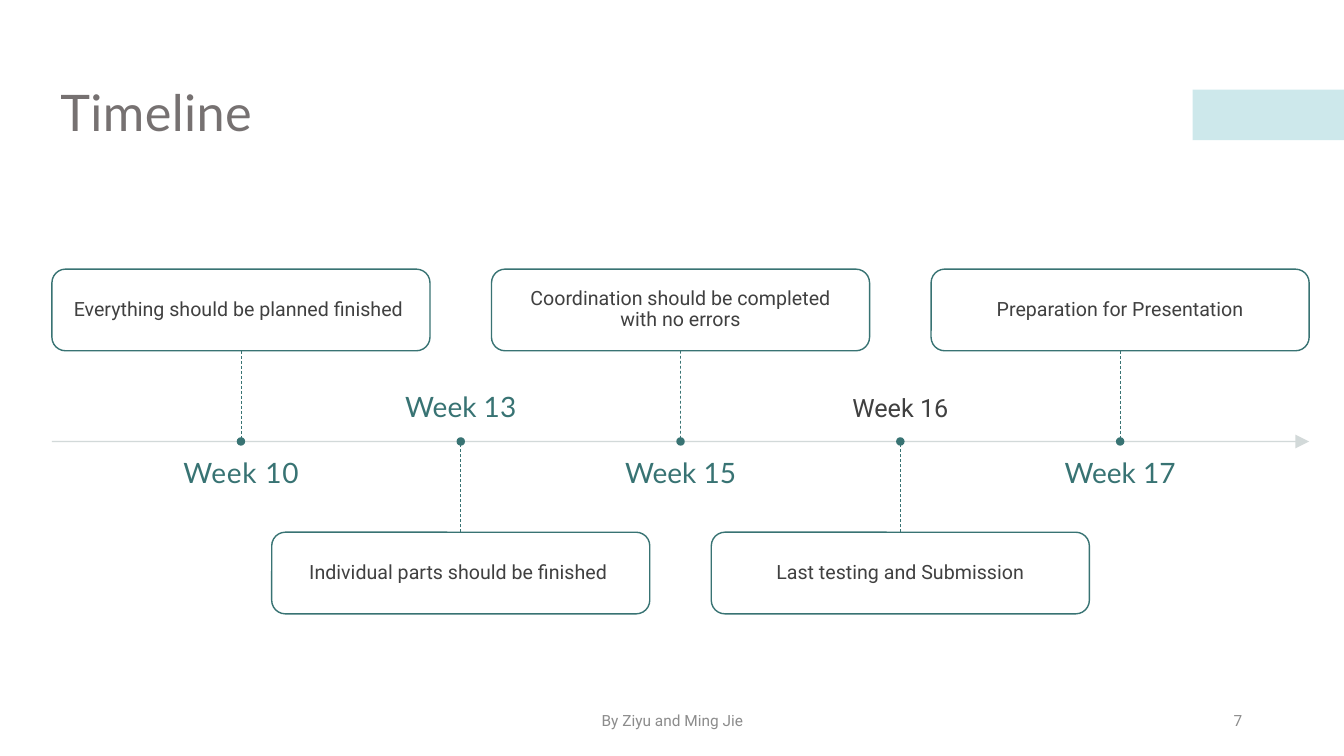
from dataclasses import dataclass

from lxml.etree import SubElement
from pptx import Presentation
from pptx.dml.color import RGBColor as RGB
from pptx.enum.dml import MSO_LINE as Dash
from pptx.enum.shapes import MSO_CONNECTOR as Link, MSO_SHAPE as Shape
from pptx.enum.text import MSO_ANCHOR as Anchor, PP_ALIGN as Align
from pptx.oxml.ns import qn
from pptx.util import Inches, Pt


@dataclass(frozen=True)
class Theme:
    heading: str = "Lato"
    body: str = "Roboto"
    teal: str = "387373"
    ink: str = "404040"
    title: str = "767171"
    footer: str = "8C8C8C"
    axis: str = "CED5D5"
    accent: str = "9CD3D9"
    paper: str = "FFFFFF"
    title_size: int = 36
    week_size: int = 20
    plain_week_size: int = 18
    card_size: int = 14
    footer_size: int = 11


T = Theme()

# Grid: one column per milestone, rows counted up and down from the axis
WIDTH, HEIGHT = 13.33, 7.5
COLUMN, FIRST_CENTRE = 2.18, 2.39
ROW, AXIS = 0.9, 4.38
CARD_COLS, CARD_ROWS = 1.72, 0.9
LABEL_COLS, LABEL_ROWS, LABEL_GAP = 1.52, 0.6, 0.2
DOT = 0.07

WEEK_STYLE = (T.heading, T.week_size, T.teal)
PLAIN_STYLE = (T.body, T.plain_week_size, T.ink)
CARD_STYLE = (T.body, T.card_size, T.ink)
FOOTER_STYLE = (T.body, T.footer_size, T.footer)

# Week, task, week style, letter spacing
MILESTONES = [
    ("Week 10", "Everything should be planned finished ", WEEK_STYLE, 0.5),
    ("Week 13", "Individual parts should be finished ", WEEK_STYLE, 0),
    ("Week 15", "Coordination should be completed with no errors", WEEK_STYLE, 0),
    ("Week 16", "Last testing and Submission", PLAIN_STYLE, 0),
    ("Week 17", "Preparation for Presentation", WEEK_STYLE, 0),
]


def box(left, top, width, height):
    return [Inches(v) for v in (left, top, width, height)]


def row_box(centre, row, cols, rows):
    """Box centred on a column, its top a number of rows below the axis."""
    width = cols * COLUMN
    return box(centre - width / 2, AXIS + row * ROW, width, rows * ROW)


def write(tf, text, style, align, anchor, inset=None, leading=0.9, spacing=0):
    font, size, colour = style
    tf.word_wrap = True
    tf.vertical_anchor = anchor
    if inset is not None:
        tf.margin_left = tf.margin_right = Inches(inset)
        tf.margin_top = tf.margin_bottom = Inches(inset)
    p = tf.paragraphs[0]
    p.alignment = align
    p.line_spacing = leading
    r = p.add_run()
    r.text = text
    r.font.name, r.font.size = font, Pt(size)
    r.font.color.rgb = RGB.from_string(colour)
    if spacing:
        r._r.get_or_add_rPr().set("spc", str(int(spacing * 100)))


def add_text(s, bounds, *args, **kwargs):
    write(s.shapes.add_textbox(*bounds).text_frame, *args, **kwargs)


def add_block(s, kind, bounds, fill, line=None, opacity=100):
    sp = s.shapes.add_shape(kind, *bounds)
    sp.shadow.inherit = False
    sp.fill.solid()
    sp.fill.fore_color.rgb = RGB.from_string(fill)
    if opacity < 100:
        colour = sp.fill._xPr.find(qn("a:solidFill"))[0]
        SubElement(colour, qn("a:alpha"), val=str(opacity * 1000))
    if line:
        sp.line.color.rgb = RGB.from_string(line)
        sp.line.width = Pt(1)
    else:
        sp.line.fill.background()
    return sp


def add_line(s, start, end, colour, width):
    ends = [Inches(v) for v in (*start, *end)]
    cx = s.shapes.add_connector(Link.STRAIGHT, *ends)
    cx.line.color.rgb = RGB.from_string(colour)
    cx.line.width = Pt(width)
    SubElement(cx._element.spPr, qn("a:effectLst"))
    return cx


def add_axis(s):
    last = FIRST_CENTRE + (len(MILESTONES) - 1) * COLUMN
    reach = CARD_COLS * COLUMN / 2
    axis = add_line(s, (FIRST_CENTRE - reach, AXIS), (last + reach, AXIS), T.axis, 1)
    ln = axis.line._get_or_add_ln()
    colour = ln.find(qn("a:solidFill"))[0]
    SubElement(colour, qn("a:alpha"), val="90000")
    SubElement(ln, qn("a:tailEnd"), type="triangle", w="lg", len="lg")


def add_milestone(s, index, week, task, style, spacing):
    centre = FIRST_CENTRE + index * COLUMN
    above = index % 2 == 0  # cards alternate, the week faces its card

    # Week label
    label_row = LABEL_GAP if above else -LABEL_GAP - LABEL_ROWS
    add_text(s, row_box(centre, label_row, LABEL_COLS, LABEL_ROWS), week, style,
             Align.CENTER, Anchor.TOP if above else Anchor.BOTTOM,
             inset=0, spacing=spacing)

    # Task card
    card_row = -1 - CARD_ROWS if above else 1
    card = add_block(s, Shape.ROUNDED_RECTANGLE,
                     row_box(centre, card_row, CARD_COLS, CARD_ROWS),
                     T.paper, T.teal, opacity=90)
    write(card.text_frame, task, CARD_STYLE, Align.CENTER, Anchor.MIDDLE, inset=0.14)

    # Stem from card to axis, then the dot
    edge = AXIS - ROW if above else AXIS + ROW
    stem = add_line(s, (centre, edge), (centre, AXIS), T.teal, 0.5)
    stem.line.dash_style = Dash.DASH
    stem.begin_connect(card, 2 if above else 0)
    add_block(s, Shape.OVAL, box(centre - DOT / 2, AXIS - DOT / 2, DOT, DOT),
              T.teal, T.teal)


def main():
    prs = Presentation()
    prs.slide_width, prs.slide_height = Inches(WIDTH), Inches(HEIGHT)
    s = prs.slides.add_slide(prs.slide_layouts[5])

    # Accent and title
    add_block(s, Shape.RECTANGLE, box(11.83, 0.89, WIDTH - 11.83, 0.5),
              T.accent, opacity=50)
    title = s.shapes.title
    title.left, title.top, title.width, title.height = box(0.5, 0.42, 12.33, 1.45)
    write(title.text_frame, "Timeline", (T.heading, T.title_size, T.title),
          Align.LEFT, Anchor.MIDDLE, spacing=0.3)

    # Timeline
    add_axis(s)
    for index, milestone in enumerate(MILESTONES):
        add_milestone(s, index, *milestone)

    # Footer
    add_text(s, box(4.42, 6.95, 4.5, 0.4), "By Ziyu and Ming Jie", FOOTER_STYLE,
             Align.CENTER, Anchor.MIDDLE, leading=1.0)
    add_text(s, box(9.42, 6.95, 3, 0.4), "7", FOOTER_STYLE,
             Align.RIGHT, Anchor.MIDDLE, leading=1.0)

    prs.save("out.pptx")


if __name__ == "__main__":
    main()
